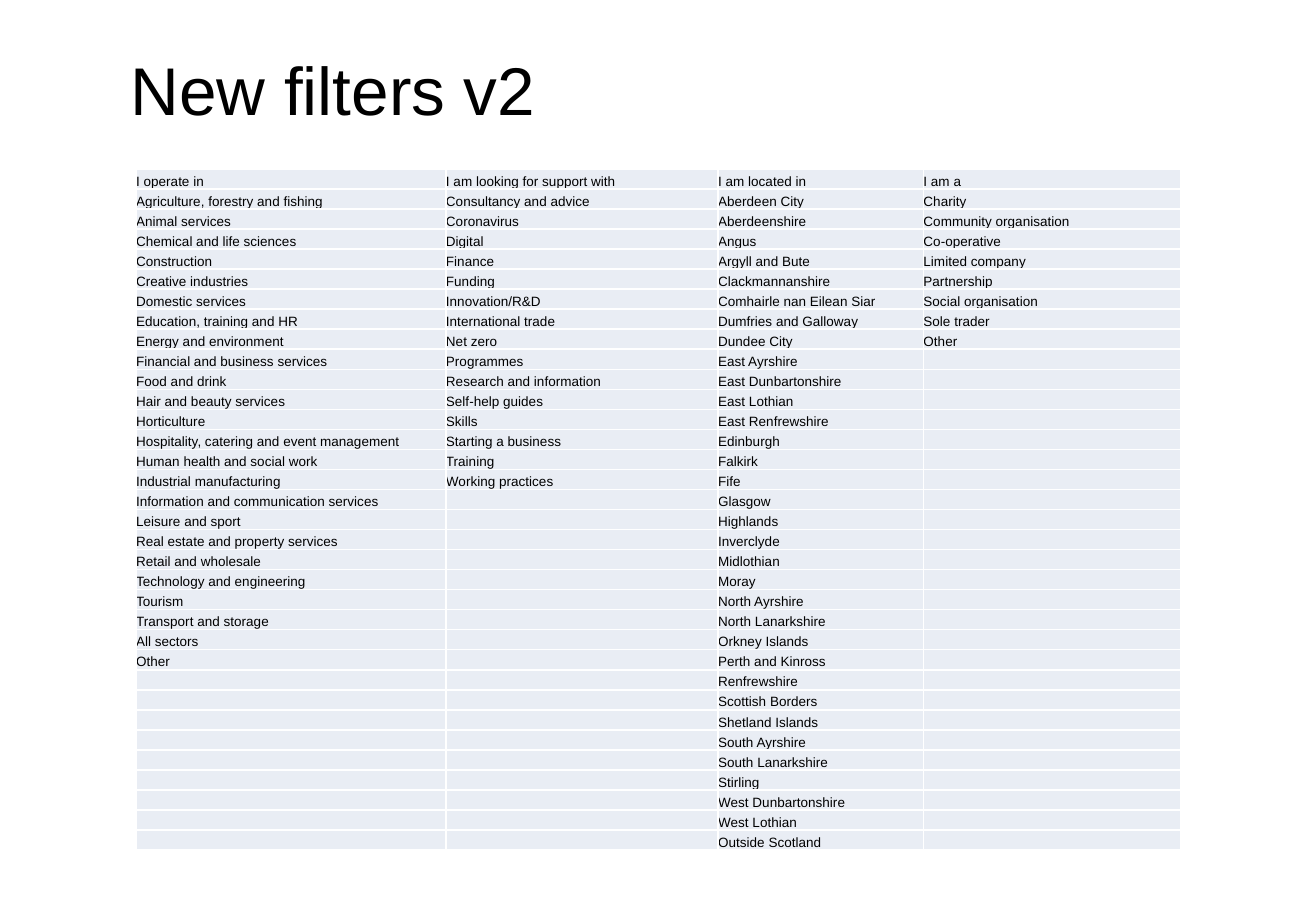
from itertools import zip_longest

from lxml import etree
from pptx import Presentation
from pptx.dml.color import RGBColor
from pptx.enum import text
from pptx.oxml import ns
from pptx.util import Inches, Pt

BLACK = RGBColor(0x00, 0x00, 0x00)
WHITE = RGBColor(0xFF, 0xFF, 0xFF)
PALE_BLUE = RGBColor(0xE9, 0xED, 0xF4)

# Heading, column width in inches, options
FILTERS = [
    ("I operate in", 2.55, [
        "Agriculture, forestry and fishing", "Animal services",
        "Chemical and life sciences", "Construction", "Creative industries",
        "Domestic services", "Education, training and HR",
        "Energy and environment", "Financial and business services",
        "Food and drink", "Hair and beauty services", "Horticulture",
        "Hospitality, catering and event management",
        "Human health and social work", "Industrial manufacturing",
        "Information and communication services", "Leisure and sport",
        "Real estate and property services", "Retail and wholesale",
        "Technology and engineering", "Tourism", "Transport and storage",
        "All sectors", "Other"]),
    ("I am looking for support with", 2.24, [
        "Consultancy and advice", "Coronavirus", "Digital", "Finance",
        "Funding", "Innovation/R&D", "International trade", "Net zero",
        "Programmes", "Research and information", "Self-help guides",
        "Skills", "Starting a business", "Training", "Working practices"]),
    ("I am located in", 1.69, [
        "Aberdeen City", "Aberdeenshire", "Angus", "Argyll and Bute",
        "Clackmannanshire", "Comhairle nan Eilean Siar",
        "Dumfries and Galloway", "Dundee City", "East Ayrshire",
        "East Dunbartonshire", "East Lothian", "East Renfrewshire",
        "Edinburgh", "Falkirk", "Fife", "Glasgow", "Highlands", "Inverclyde",
        "Midlothian", "Moray", "North Ayrshire", "North Lanarkshire",
        "Orkney Islands", "Perth and Kinross", "Renfrewshire",
        "Scottish Borders", "Shetland Islands", "South Ayrshire",
        "South Lanarkshire", "Stirling", "West Dunbartonshire",
        "West Lothian", "Outside Scotland"]),
    ("I am a", 2.12, [
        "Charity", "Community organisation", "Co-operative",
        "Limited company", "Partnership", "Social organisation",
        "Sole trader", "Other"]),
]


def apply(target, formats):
    for name, value in formats.items():
        setattr(target, name, value)


class FilterPage:
    font_name = "Arial"
    cell_format = dict(margin_left=0, margin_right=0, margin_top=0,
                       margin_bottom=0,
                       vertical_anchor=text.MSO_ANCHOR.BOTTOM)

    def __init__(self, deck):
        self.page = deck.slides.add_slide(deck.slide_layouts[5])
        self.page.background.fill.solid()
        self.page.background.fill.fore_color.rgb = WHITE

    def span(self, para, words, size):
        span = para.add_run()
        span.text = words
        apply(span.font, dict(name=self.font_name, size=Pt(size)))
        span.font.color.rgb = BLACK

    def title(self, words, left, top, width, height, size):
        box = self.page.shapes.title
        apply(box, dict(left=Inches(left), top=Inches(top),
                        width=Inches(width), height=Inches(height)))
        apply(box.text_frame, dict(word_wrap=True,
                                   vertical_anchor=text.MSO_ANCHOR.MIDDLE))
        para = box.text_frame.paragraphs[0]
        para.alignment = text.PP_ALIGN.CENTER
        self.span(para, words, size)

    def border(self, cell, points):
        properties = cell._tc.get_or_add_tcPr()
        for side in "LRTB":
            line = etree.SubElement(properties, ns.qn(f"a:ln{side}"),
                                    w=str(Pt(points)))
            fill = etree.SubElement(line, ns.qn("a:solidFill"))
            etree.SubElement(fill, ns.qn("a:srgbClr"), val=str(WHITE))

    def cell(self, cell, words, size):
        apply(cell, self.cell_format)
        self.border(cell, 1)
        cell.fill.solid()
        cell.fill.fore_color.rgb = PALE_BLUE
        para = cell.text_frame.paragraphs[0]
        if words:
            self.span(para, words, size)
        else:  # keeps an empty cell from growing to the default text size
            etree.SubElement(para._p, ns.qn("a:endParaRPr"),
                             sz=str(size * 100))

    def table(self, columns, left, top, height, size):
        """Each column is a heading, a width and a list of options."""
        rows = list(zip_longest(*([heading, *options]
                                  for heading, _, options in columns)))
        widths = [Inches(width) for _, width, _ in columns]
        grid = self.page.shapes.add_table(
            len(rows), len(columns), Inches(left), Inches(top),
            sum(widths), Inches(height)).table
        apply(grid, dict(first_row=False, horz_banding=False))
        for column, width in zip(grid.columns, widths):
            column.width = width
        for row, entries in zip(grid.rows, rows):
            row.height = Inches(height / len(rows))
            for cell, words in zip(row.cells, entries):
                self.cell(cell, words, size)


def main():
    deck = Presentation()
    apply(deck, dict(slide_width=Inches(10.83), slide_height=Inches(7.5)))
    page = FilterPage(deck)
    page.title("New filters v2", 0.54, 0.3, 4.4, 0.85, size=40)
    page.table(FILTERS, 1.12, 1.39, 5.61, size=8)
    deck.save("out.pptx")


if __name__ == "__main__":
    main()
